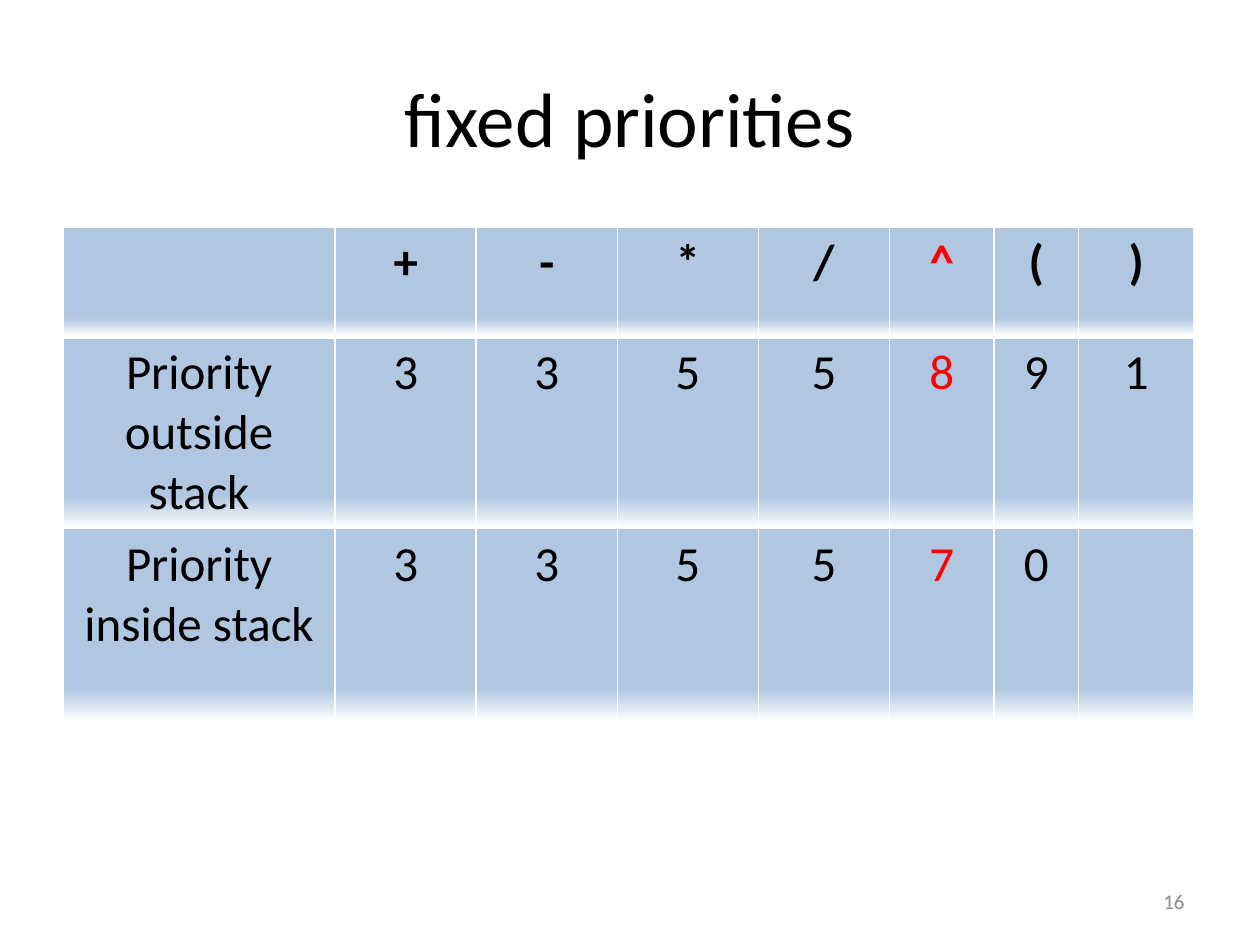
from lxml import etree
from pptx import Presentation
from pptx.dml.color import RGBColor
from pptx.enum.text import MSO_ANCHOR, PP_ALIGN
from pptx.oxml.ns import qn
from pptx.util import Inches, Pt

CENTER, RIGHT = PP_ALIGN.CENTER, PP_ALIGN.RIGHT
MIDDLE = MSO_ANCHOR.MIDDLE

TITLE = "fixed priorities"
PAGE = "16"
ROWS = [
    ["", "+", "-", "*", "/", "^", "(", ")"],
    ["Priority outside stack", "3", "3", "5", "5", "8", "9", "1"],
    ["Priority inside stack", "3", "3", "5", "5", "7", "0", ""],
]
COL_WIDTHS = [2.16, 1.12, 1.12, 1.12, 1.04, 0.83, 0.67, 0.92]
ROW_HEIGHTS = [0.87, 1.47, 1.53]
POWER_COL = ROWS[0].index("^")

FONT = "Calibri"
COLORS = {"text": "000000", "power": "FF0000", "page": "8C8C8C",
          "cell": "B0C6E1", "edge": "FFFFFF", "fade": "CAD9EB"}
STOPS = [(74, "cell"), (83, "cell"), (100, "edge"), (100, "fade")]
WIDTH, HEIGHT, MARGIN = 10, 7.5, 0.5


def write(tf, text, size, color, align, bold=False):
    p = tf.paragraphs[0]
    p.text = text
    p.alignment = align
    for r in p.runs:
        r.font.name, r.font.size, r.font.bold = FONT, Pt(size), bold
        r.font.color.rgb = RGBColor.from_string(COLORS[color])


def add_color(parent, color):
    etree.SubElement(parent, qn("a:srgbClr"), val=COLORS[color])


def style_cell(cell, top, bottom):
    """Draw white borders, then a fill that fades out at the bottom."""
    props = cell._tc.get_or_add_tcPr()
    for side, width in (("L", 1), ("R", 1), ("T", top), ("B", bottom)):
        line = etree.SubElement(props, qn(f"a:ln{side}"), w=str(Pt(width)))
        add_color(etree.SubElement(line, qn("a:solidFill")), "edge")
    grad = etree.SubElement(props, qn("a:gradFill"), rotWithShape="1")
    stops = etree.SubElement(grad, qn("a:gsLst"))
    for pos, color in STOPS:
        add_color(etree.SubElement(stops, qn("a:gs"), pos=str(pos * 1000)), color)
    etree.SubElement(grad, qn("a:lin"), ang=str(90 * 60000), scaled="0")


prs = Presentation()
prs.slide_width, prs.slide_height = Inches(WIDTH), Inches(HEIGHT)
s = prs.slides.add_slide(prs.slide_layouts[5])
content_width = WIDTH - 2 * MARGIN

title = s.shapes.title
title.left, title.top = Inches(MARGIN), Inches(0.3)
title.width, title.height = Inches(content_width), Inches(1.25)
title.text_frame.vertical_anchor = MIDDLE
write(title.text_frame, TITLE, 44, "text", CENTER)

table = s.shapes.add_table(
    len(ROWS), len(COL_WIDTHS), Inches(MARGIN), Inches(1.8),
    Inches(content_width), Inches(sum(ROW_HEIGHTS))).table
for col, width in zip(table.columns, COL_WIDTHS):
    col.width = Inches(width)
for row, height in zip(table.rows, ROW_HEIGHTS):
    row.height = Inches(height)
for i, values in enumerate(ROWS):
    for j, value in enumerate(values):
        cell = table.cell(i, j)
        color = "power" if j == POWER_COL else "text"
        write(cell.text_frame, value, 28, color, CENTER, bold=i == 0)
        style_cell(cell, top=3 if i == 1 else 1, bottom=3 if i == 0 else 1)

page_width = 2.33
page = s.shapes.add_textbox(Inches(WIDTH - MARGIN - page_width), Inches(6.95),
                            Inches(page_width), Inches(0.4))
page.text_frame.word_wrap = True
page.text_frame.vertical_anchor = MIDDLE
write(page.text_frame, PAGE, 12, "page", RIGHT)

prs.save("out.pptx")
